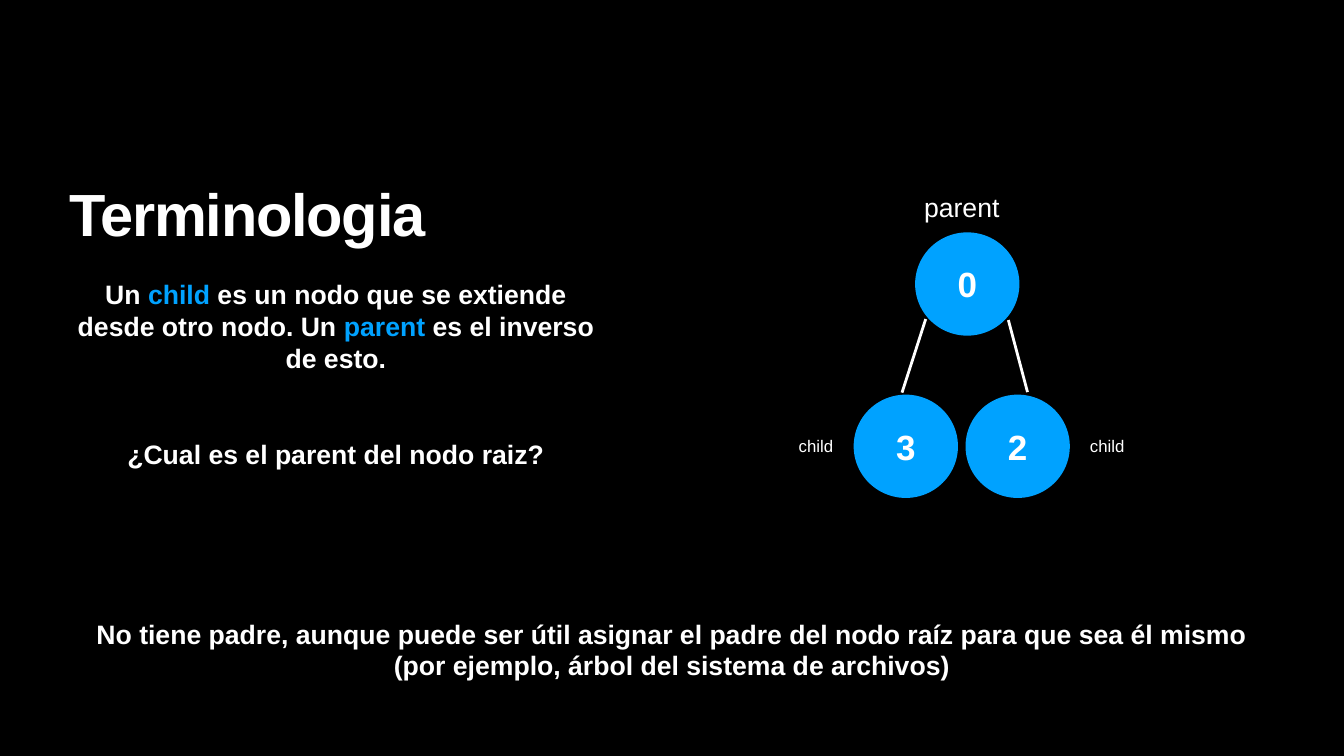
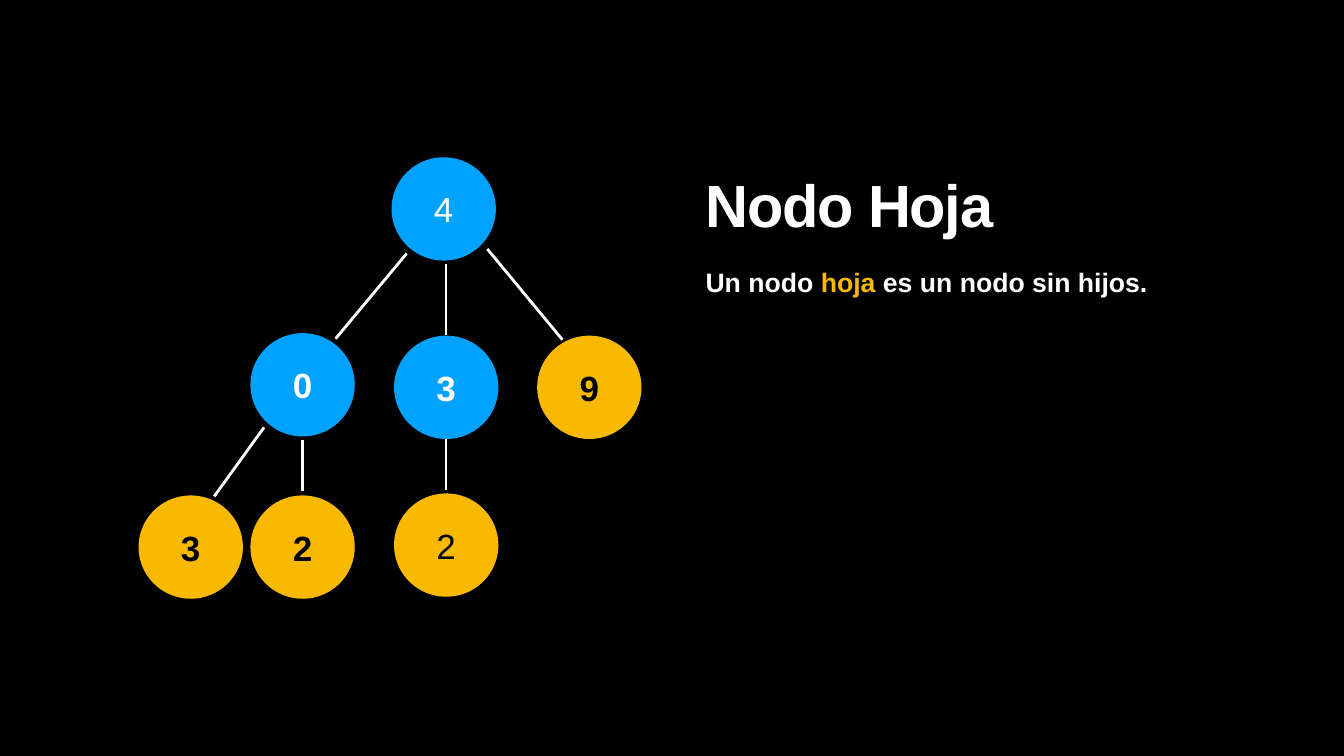
from dataclasses import dataclass

from lxml import etree
from pptx import Presentation
from pptx.dml.color import RGBColor
from pptx.enum import shapes, text
from pptx.oxml import ns
from pptx.util import Inches, Pt


@dataclass(frozen=True)
class Theme:
    font: str = "Arial"
    background: RGBColor = RGBColor(0, 0, 0)
    ink: RGBColor = RGBColor(255, 255, 255)
    branch: RGBColor = RGBColor(0x00, 0xA2, 0xFF)
    leaf: RGBColor = RGBColor(0xF9, 0xB9, 0x00)
    leaf_ink: RGBColor = RGBColor(0, 0, 0)
    title_size: float = 85
    node_size: float = 50
    body_size: float = 38
    label_size: float = 24
    title_tracking: float = -1.7
    edge_width: float = 4


THEME = Theme()
NODE_WIDTH, NODE_HEIGHT = 2.07, 2.05
COLUMN_WIDTH = 10.69
TITLE_HEIGHT = 3.58
INSET = 0.06

CENTER = text.PP_ALIGN.CENTER
LEFT = text.PP_ALIGN.LEFT
TOP = text.MSO_ANCHOR.TOP
MIDDLE = text.MSO_ANCHOR.MIDDLE
BOTTOM = text.MSO_ANCHOR.BOTTOM


def add_page(deck):
    page = deck.slides.add_slide(deck.slide_layouts[6])
    page.background.fill.solid()
    page.background.fill.fore_color.rgb = THEME.background
    return page


def write(frame, paragraphs, size, color=THEME.ink, bold=True, align=CENTER, anchor=MIDDLE):
    """Fill a frame; each paragraph is a list of (words, colour or None) spans."""
    frame.margin_left = frame.margin_right = Inches(INSET)
    frame.margin_top = frame.margin_bottom = Inches(INSET)
    frame.vertical_anchor = anchor
    for index, spans in enumerate(paragraphs):
        para = frame.add_paragraph() if index else frame.paragraphs[0]
        para.alignment = align
        para.font.name = THEME.font
        para.font.size = Pt(size)
        para.font.bold = bold
        for words, highlight in spans:
            span = para.add_run()
            span.text = words
            span.font.color.rgb = highlight or color


def add_text(page, left, top, width, height, paragraphs, size=THEME.body_size, **style):
    box = page.shapes.add_textbox(Inches(left), Inches(top), Inches(width), Inches(height))
    box.text_frame.word_wrap = True
    write(box.text_frame, paragraphs, size, **style)
    return box


def add_label(page, left, top, width, height, lines, **style):
    """Add unwrapped text whose box fits its lines."""
    box = add_text(page, left, top, width, height, [[(line, None)] for line in lines], **style)
    box.text_frame.word_wrap = False
    box.text_frame.auto_size = text.MSO_AUTO_SIZE.SHAPE_TO_FIT_TEXT


def add_title(page, left, top, words):
    box = add_text(page, left, top, COLUMN_WIDTH, TITLE_HEIGHT, [[(words, None)]],
                   size=THEME.title_size, align=LEFT, anchor=BOTTOM)
    para = box.text_frame.paragraphs[0]
    para.line_spacing = 0.8
    properties = para.runs[0]._r.get_or_add_rPr()
    properties.set("spc", str(round(THEME.title_tracking * 100)))


def add_node(page, left, top, value, leaf=False, bold=True):
    node = page.shapes.add_shape(shapes.MSO_SHAPE.OVAL, Inches(left), Inches(top),
                                 Inches(NODE_WIDTH), Inches(NODE_HEIGHT))
    node.shadow.inherit = False
    node.fill.solid()
    node.fill.fore_color.rgb = THEME.leaf if leaf else THEME.branch
    node.line.fill.background()
    write(node.text_frame, [[(value, None)]], THEME.node_size,
          color=THEME.leaf_ink if leaf else THEME.ink, bold=bold)


def add_edge(page, child, parent):
    """Draw a line from a point near the child to one near its parent."""
    edge = page.shapes.add_connector(shapes.MSO_CONNECTOR.STRAIGHT,
                                     *(Inches(value) for value in (*child, *parent)))
    edge.line.color.rgb = THEME.ink
    edge.line.width = Pt(THEME.edge_width)
    etree.SubElement(edge._element.spPr, ns.qn("a:effectLst"))


def add_tree(page, nodes, edges):
    for child, parent in edges:
        add_edge(page, child, parent)
    for left, top, value, *flags in nodes:
        add_node(page, left, top, value, *flags)


def build_terminology(deck):
    page = add_page(deck)
    left = 1.32
    add_title(page, left, 1.39, "Terminologia")
    definition = [("Un ", None), ("child", THEME.branch),
                  (" es un nodo que se extiende desde otro nodo. Un ", None),
                  ("parent", THEME.branch), (" es el inverso de esto.", None)]
    add_text(page, left, 5.46, COLUMN_WIDTH, 2.66, [definition], anchor=TOP)
    add_text(page, left, 8.62, COLUMN_WIDTH, 2.18,
             [[("¿Cual es el parent del nodo raiz?", None)]], anchor=TOP)

    child_row = 7.83
    add_tree(page,
             nodes=[(18.16, 4.61, "0"), (16.94, child_row, "3"), (19.16, child_row, "2")],
             edges=[((17.9, 7.79), (18.37, 6.33)), ((20.39, 7.78), (20.01, 6.35))])
    for label_left in (15.77, 21.55):
        add_label(page, label_left, 8.6, 0.84, 0.5, ["child"], size=THEME.label_size, bold=False)
    add_label(page, 18.24, 3.74, 1.69, 0.73, ["parent"], bold=False)
    add_label(page, 1.85, 12.2, 22.97, 1.37, [
        "No tiene padre, aunque puede ser útil asignar el padre del nodo raíz para que sea él mismo",
        "(por ejemplo, árbol del sistema de archivos)"])


def build_leaf_node(deck):
    page = add_page(deck)
    zero_column, three_column = 4.97, 7.82
    zero_center, three_center = 6, 8.85
    middle_row, bottom_row = 6.66, 9.83
    add_tree(page,
             nodes=[(7.77, 3.12, "4", False, False),
                    (zero_column, 6.61, "0"),
                    (three_column, middle_row, "3"),
                    (10.66, middle_row, "9", True),
                    (2.75, bottom_row, "3", True),
                    (zero_column, bottom_row, "2", True),
                    (three_column, 9.79, "2", True, False)],
             edges=[((6.66, 6.72), (8.07, 5.03)),
                    ((three_center, 6.64), (three_center, 5.23)),
                    ((11.16, 6.74), (9.67, 4.94)),
                    ((4.25, 9.85), (5.24, 8.48)),
                    ((zero_center, 9.75), (zero_center, 8.74)),
                    ((three_center, 9.72), (three_center, 8.7))])

    left = 13.94
    add_title(page, left, 1.23, "Nodo Hoja")
    definition = [("Un nodo ", None), ("hoja", THEME.leaf), (" es un nodo sin hijos.", None)]
    add_text(page, left, 5.21, COLUMN_WIDTH, 6.81, [definition], align=LEFT, anchor=TOP)


def main():
    deck = Presentation()
    deck.slide_width, deck.slide_height = Inches(26.67), Inches(15)
    build_terminology(deck)
    build_leaf_node(deck)
    deck.save("out.pptx")


if __name__ == "__main__":
    main()
